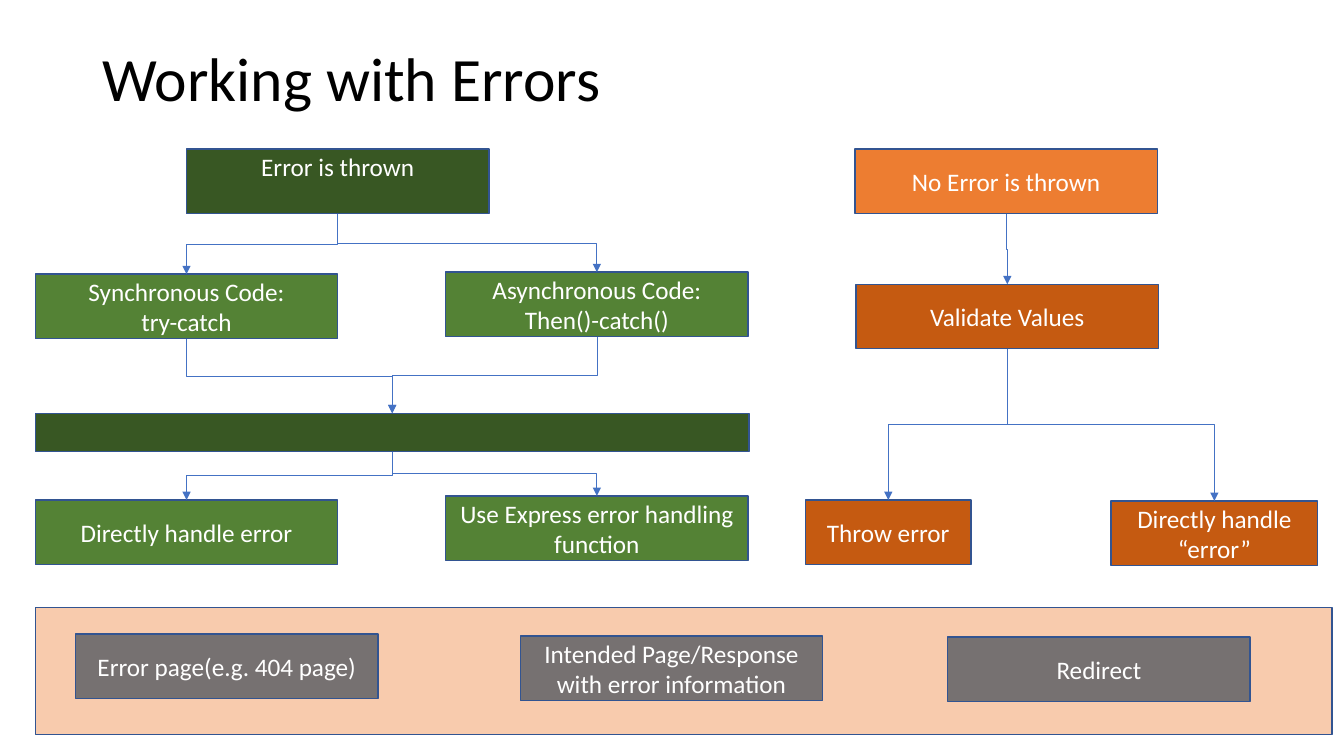
from pptx import Presentation
from pptx.dml.color import RGBColor
from pptx.enum.shapes import MSO_CONNECTOR, MSO_SHAPE
from pptx.enum.text import MSO_ANCHOR, PP_ALIGN
from pptx.oxml.ns import qn
from pptx.util import Inches, Pt
from lxml import etree

RECTANGLE = MSO_SHAPE.RECTANGLE
ELBOW = MSO_CONNECTOR.ELBOW
MIDDLE, TOP = MSO_ANCHOR.MIDDLE, MSO_ANCHOR.TOP
LEFT, CENTER = PP_ALIGN.LEFT, PP_ALIGN.CENTER
TOP_SIDE, BOTTOM_SIDE = 0, 2
BOX_WIDTH, BOX_HEIGHT = 3, 0.64

COLORS = {
    "title": "000000",
    "label": "FFFFFF",
    "outline": "325491",
    "arrow": "4472C4",
    "dark_green": "385723",
    "green": "548235",
    "orange": "ED7D31",
    "rust": "C55A11",
    "peach": "F8CBAD",
    "gray": "767171",
}


def rgb(name):
    return RGBColor.from_string(COLORS[name])


class FlowSlide:
    font = "Calibri"

    def __init__(self, slide):
        self.slide = slide

    def add_text(self, frame, paragraphs, size, color, align):
        frame.word_wrap = True
        frame.vertical_anchor = MIDDLE
        for index, text in enumerate(paragraphs):
            paragraph = frame.paragraphs[0] if index == 0 else frame.add_paragraph()
            paragraph.alignment = align
            for part, line in enumerate(text.split("\n")):
                if part:
                    paragraph.add_line_break()
                run = paragraph.add_run()
                run.text = line
                run.font.name = self.font
                run.font.size = Pt(size)
                run.font.color.rgb = rgb(color)

    def title(self, text, left, top, width, height):
        heading = self.slide.shapes.add_textbox(
            Inches(left), Inches(top), Inches(width), Inches(height))
        self.add_text(heading.text_frame, [text], 44, "title", LEFT)
        heading.text_frame.paragraphs[0].line_spacing = 0.9

    def box(self, fill, left, top, *paragraphs, width=BOX_WIDTH, height=BOX_HEIGHT):
        box = self.slide.shapes.add_shape(
            RECTANGLE, Inches(left), Inches(top), Inches(width), Inches(height))
        box.shadow.inherit = False
        box.fill.solid()
        box.fill.fore_color.rgb = rgb(fill)
        box.line.color.rgb = rgb("outline")
        box.line.width = Pt(1)
        self.add_text(box.text_frame, paragraphs, 18, "label", CENTER)
        return box

    def arrow(self, source, target):
        start_x, start_y = source.left + source.width // 2, source.top + source.height
        end_x, end_y = target.left + target.width // 2, target.top
        arrow = self.slide.shapes.add_connector(ELBOW, start_x, start_y, end_x, end_y)
        arrow.begin_connect(source, BOTTOM_SIDE)
        arrow.end_connect(target, TOP_SIDE)

        drop, shift = end_y - start_y, abs(end_x - start_x)
        arrow.left = (start_x + end_x - drop) // 2
        arrow.top = (start_y + end_y - shift) // 2
        arrow.width, arrow.height = drop, shift
        goes_right = end_x > start_x
        properties = arrow.element.spPr
        transform = properties.find(qn("a:xfrm"))
        transform.set("rot", str((270 if goes_right else 90) * 60000))
        transform.set("flipH", "1" if goes_right else "0")
        transform.set("flipV", "0")

        arrow.line.color.rgb = rgb("arrow")
        arrow.line.width = Pt(0.5)
        line = properties.find(qn("a:ln"))
        etree.SubElement(line, qn("a:tailEnd")).set("type", "triangle")
        etree.SubElement(properties, qn("a:effectLst"))


def main():
    deck = Presentation()
    deck.slide_width, deck.slide_height = Inches(13.33), Inches(7.5)
    flow = FlowSlide(deck.slides.add_slide(deck.slide_layouts[6]))

    flow.title("Working with Errors", 0.92, 0.4, 11.5, 0.82)

    thrown = flow.box("dark_green", 1.85, 1.48, "Error is thrown")
    thrown.text_frame.vertical_anchor = TOP
    thrown.text_frame.margin_top = Inches(0.02)
    not_thrown = flow.box("orange", 8.48, 1.48, "No Error is thrown")
    synchronous = flow.box("green", 0.35, 2.72, "Synchronous Code:", "try-catch")
    asynchronous = flow.box("green", 4.42, 2.7, "Asynchronous Code:", "Then()-catch()")
    validate = flow.box("rust", 8.49, 2.82, "Validate Values")
    caught = flow.box("dark_green", 0.35, 4.1, width=7.08, height=0.38)
    handle = flow.box("green", 0.35, 4.96, "Directly handle error")
    express = flow.box("green", 4.42, 4.92, "Use Express error handling function")
    throw = flow.box("rust", 7.99, 4.96, "Throw error", width=1.64)
    handle_invalid = flow.box("rust", 11.02, 4.97, "Directly handle\n“error”", width=2.05)

    for source, target in (
        (thrown, synchronous),
        (thrown, asynchronous),
        (synchronous, caught),
        (asynchronous, caught),
        (caught, handle),
        (caught, express),
        (not_thrown, validate),
        (validate, throw),
        (validate, handle_invalid),
    ):
        flow.arrow(source, target)

    flow.box("peach", 0.35, 6.03, width=12.86, height=1.26)
    for left, top, response in (
        (0.75, 6.29, "Error page(e.g. 404 page)"),
        (5.16, 6.31, "Intended Page/Response with error information"),
        (9.4, 6.32, "Redirect"),
    ):
        flow.box("gray", left, top, response)

    deck.save("out.pptx")


if __name__ == "__main__":
    main()
